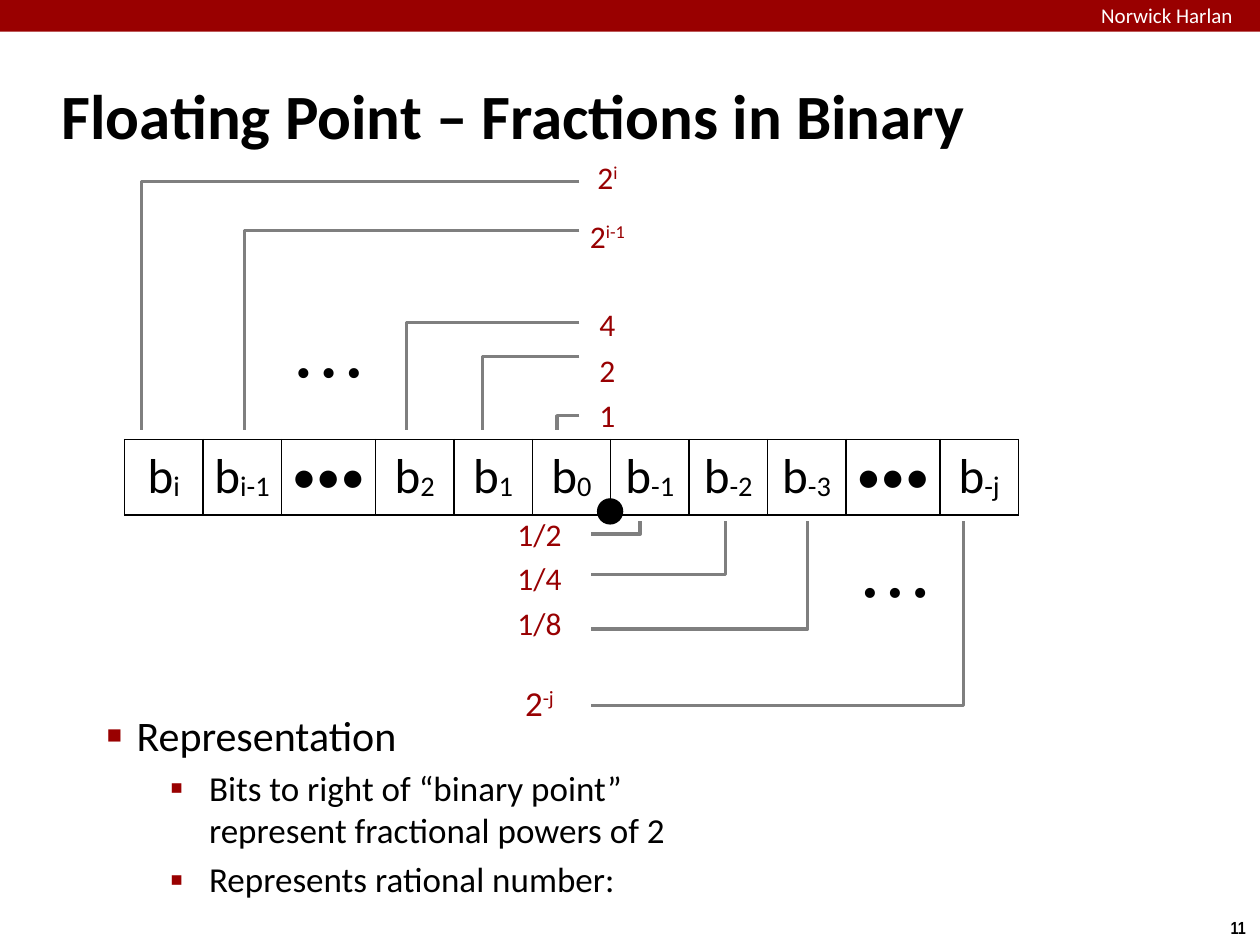
from lxml.etree import SubElement
from pptx import Presentation
from pptx.dml.color import RGBColor
from pptx.enum.shapes import MSO_SHAPE
from pptx.enum.text import MSO_ANCHOR, MSO_AUTO_SIZE, PP_ALIGN
from pptx.oxml.ns import qn
from pptx.util import Cm, Pt

RED = RGBColor(0x99, 0x00, 0x00)
WEIGHT_RED = RGBColor(0x98, 0x00, 0x02)
GRAY = RGBColor(0x7F, 0x7F, 0x7F)
BLACK = RGBColor(0, 0, 0)
WHITE = RGBColor(0xFF, 0xFF, 0xFF)

# Each label is (text, raised or lowered text, size)
UPPER_WEIGHTS = [("2", "i", 18), ("2", "i-1", 18), ("", "", 10),
                 ("4", "", 18), ("2", "", 18), ("1", "", 18)]
UPPER_ROWS = [1.19, 1.19, 0.74, 0.91, 0.91, 0.91]
LOWER_WEIGHTS = [("1/2", "", 18), ("1/4", "", 18), ("1/8", "", 18),
                 ("", "", 10), ("2", "-j", 20)]
LOWER_ROWS = [0.89, 0.89, 0.89, 0.56, 1.24]
BIT_INDEXES = ["i", "i-1", None, "2", "1", "0", "-1", "-2", "-3", None, "-j"]
BIT_WIDTH, GAP_WIDTH = 1.58, 1.9
BITS = [("•••", "", 28) if index is None else ("b", index, 28)
        for index in BIT_INDEXES]
BIT_COLUMNS = [GAP_WIDTH if index is None else BIT_WIDTH for index in BIT_INDEXES]

# Brackets: (start x, end y, [(corner x, corner y), ...])
BRACKETS = [
    (11.68, 8.66, [(11.23, 8.38), (9.73, 7.19), (8.2, 6.5), (4.93, 4.65), (2.85, 3.66)]),
    (11.92, 10.5, [(12.9, 10.77), (14.63, 11.58), (16.28, 12.68), (19.42, 14.22)]),
]
ELLIPSES = [(5.87, 6.73, 0), (17.25, 11.28, 180)]

# Body lines: (text, level, size, left margin, hanging, bullet, bullet percent)
BODY = [
    ("Representation", 0, 24, 0.6, 0.6, "■", 60),
    ("Bits to right of “binary point” represent fractional powers of 2",
     1, 20, 2.06, 0.79, "▪", 110),
    ("Represents rational number:", 1, 20, 2.06, 0.79, "▪", 110),
]


def add_span(para, text, size, color=BLACK, font="Calibri", bold=False, baseline=0):
    """Append formatted text to a paragraph."""
    span = para.add_run()
    span.text = text
    span.font.size, span.font.name, span.font.bold = Pt(size), font, bold
    span.font.color.rgb = color
    if baseline:
        span.font._element.set("baseline", str(baseline * 1000))


def place(box, left, top, width, height):
    """Move and size a shape, in centimetres."""
    box.left, box.top, box.width, box.height = map(Cm, (left, top, width, height))


def add_label(page, text, area, size, **style):
    """Add a one-line text box."""
    box = page.shapes.add_textbox(*map(Cm, area))
    box.text_frame.word_wrap = False
    add_span(box.text_frame.paragraphs[0], text, size, **style)


def add_solid(page, shape_kind, area, color, line=None):
    """Add a filled shape without shadow."""
    box = page.shapes.add_shape(shape_kind, *map(Cm, area))
    box.shadow.inherit = False
    box.fill.solid()
    box.fill.fore_color.rgb = color
    if line is None:
        box.line.fill.background()
    else:
        box.line.color.rgb, box.line.width = line, Pt(2)
    return box


def set_borders(cell, color):
    """Draw all four borders of a cell."""
    properties = cell._tc.get_or_add_tcPr()
    for place_in, side in enumerate(("a:lnL", "a:lnR", "a:lnT", "a:lnB")):
        line = SubElement(properties, qn(side), w=str(Pt(1)))
        fill = SubElement(line, qn("a:solidFill"))
        SubElement(fill, qn("a:srgbClr"), val=str(color))
        properties.remove(line)
        properties.insert(place_in, line)


def add_grid(page, left, top, columns, rows, labels, color, border, margin, baseline):
    """Add a table of centred labels, filled row by row."""
    area = map(Cm, (left, top, sum(columns), sum(rows)))
    table = page.shapes.add_table(len(rows), len(columns), *area).table
    table.first_row = table.horz_banding = False
    for column, width in zip(table.columns, columns):
        column.width = Cm(width)
    for row, height in zip(table.rows, rows):
        row.height = Cm(height)
    for cell, (text, script, size) in zip(table.iter_cells(), labels):
        cell.fill.background()
        cell.vertical_anchor = MSO_ANCHOR.MIDDLE
        cell.margin_left = cell.margin_right = Cm(margin)
        cell.margin_top = cell.margin_bottom = Cm(margin)
        set_borders(cell, border)
        para = cell.text_frame.paragraphs[0]
        para.alignment = PP_ALIGN.CENTER
        if text:
            add_span(para, text, size, color)
        else:
            SubElement(para._p, qn("a:endParaRPr"), sz=str(size * 100))
        if script:
            add_span(para, script, size, color, baseline=baseline)


def set_indent(para, margin, hanging):
    """Set a hanging indent."""
    properties = para._p.get_or_add_pPr()
    properties.set("marL", str(Cm(margin)))
    properties.set("indent", str(-Cm(hanging)))
    return properties


def add_bracket(page, start_x, end_y, corner_x, corner_y):
    """Draw an open right-angled line from a weight to its bit."""
    builder = page.shapes.build_freeform(Cm(start_x), Cm(corner_y))
    builder.add_line_segments(
        [(Cm(corner_x), Cm(corner_y)), (Cm(corner_x), Cm(end_y))], close=False)
    bracket = builder.convert_to_shape()
    bracket.shadow.inherit = False
    bracket.fill.background()
    bracket.line.color.rgb, bracket.line.width = GRAY, Pt(2)


def add_ellipsis(page, left, top, rotation):
    """Add three dots that stand for the bits left out."""
    box = add_solid(page, MSO_SHAPE.RECTANGLE, (left, top, 1.55, 1.47), WHITE)
    box.rotation = rotation
    frame = box.text_frame
    frame.word_wrap = False
    frame.vertical_anchor = MSO_ANCHOR.MIDDLE
    frame.margin_left = frame.margin_right = Cm(0.1)
    frame.margin_top = frame.margin_bottom = Cm(0.1)
    frame.paragraphs[0].alignment = PP_ALIGN.LEFT
    add_span(frame.paragraphs[0], "• • •", 24, font="Times New Roman")


def fill_title(title):
    """Place and write the title."""
    place(title, 0.99, 1.24, 21.08, 2.11)
    frame = title.text_frame
    frame.vertical_anchor = MSO_ANCHOR.MIDDLE
    frame.auto_size = MSO_AUTO_SIZE.NONE
    para = frame.paragraphs[0]
    para.alignment = PP_ALIGN.LEFT
    set_indent(para, 0.23, 0.23)
    add_span(para, "Floating Point – Fractions in Binary", 36, bold=True)


def fill_body(body):
    """Place and write the bulleted list."""
    place(body, 1.9, 14.17, 12.9, 4.24)
    frame = body.text_frame
    frame.auto_size = MSO_AUTO_SIZE.NONE
    for number, (text, level, size, margin, hanging, bullet, percent) in enumerate(BODY):
        para = frame.add_paragraph() if number else frame.paragraphs[0]
        para.level = level
        para.space_before = Pt(0.2 * size if level else 0)
        properties = set_indent(para, margin, hanging)
        color = SubElement(properties, qn("a:buClr"))
        SubElement(color, qn("a:srgbClr"), val=str(RED))
        SubElement(properties, qn("a:buSzPct"), val=str(percent * 1000))
        SubElement(properties, qn("a:buChar"), char=bullet)
        add_span(para, text, size)


deck = Presentation()
deck.slide_width, deck.slide_height = Cm(25.4), Cm(19.05)
page = deck.slides.add_slide(deck.slide_layouts[1])

add_solid(page, MSO_SHAPE.RECTANGLE, (0, 0, 25.4, 0.64), RED)
add_label(page, "Norwick Harlan", (21.95, -0.08, 3.63, 0.76), 12, color=WHITE)
add_label(page, "11", (24.56, 18.36, 0.86, 0.69), 10, font="Arial Narrow", bold=True)
add_grid(page, 11.43, 3, [1.63], UPPER_ROWS, UPPER_WEIGHTS, WEIGHT_RED, WHITE, 0, 32)
add_grid(page, 9.96, 10.36, [1.83], LOWER_ROWS, LOWER_WEIGHTS, WEIGHT_RED, WHITE, 0, 32)
add_grid(page, 2.51, 8.86, BIT_COLUMNS, [1.52], BITS, BLACK, BLACK, 0.15, -6)
fill_title(page.shapes.title)
fill_body(page.placeholders[1])
for start_x, end_y, corners in BRACKETS:
    for corner_x, corner_y in corners:
        add_bracket(page, start_x, end_y, corner_x, corner_y)
for left, top, rotation in ELLIPSES:
    add_ellipsis(page, left, top, rotation)
add_solid(page, MSO_SHAPE.OVAL, (12.07, 10.08, 0.46, 0.46), BLACK, line=BLACK)

deck.save("out.pptx")
